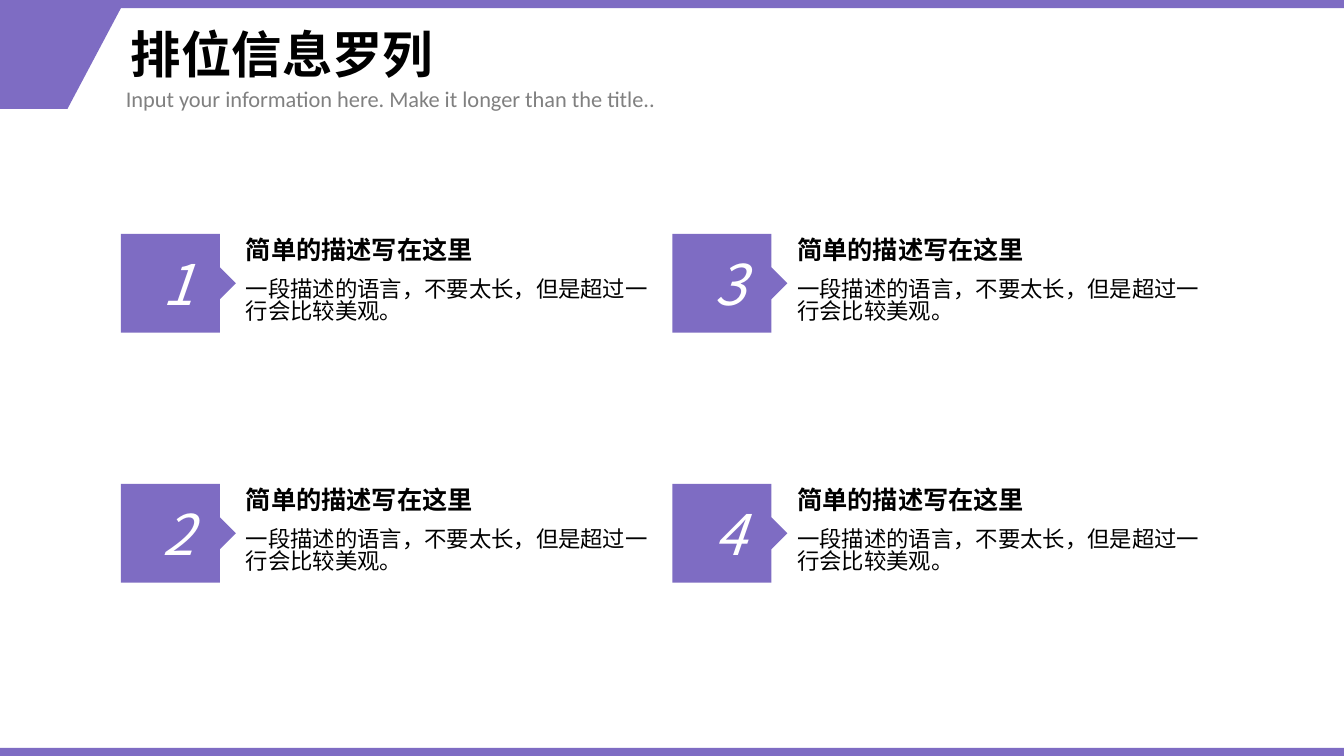
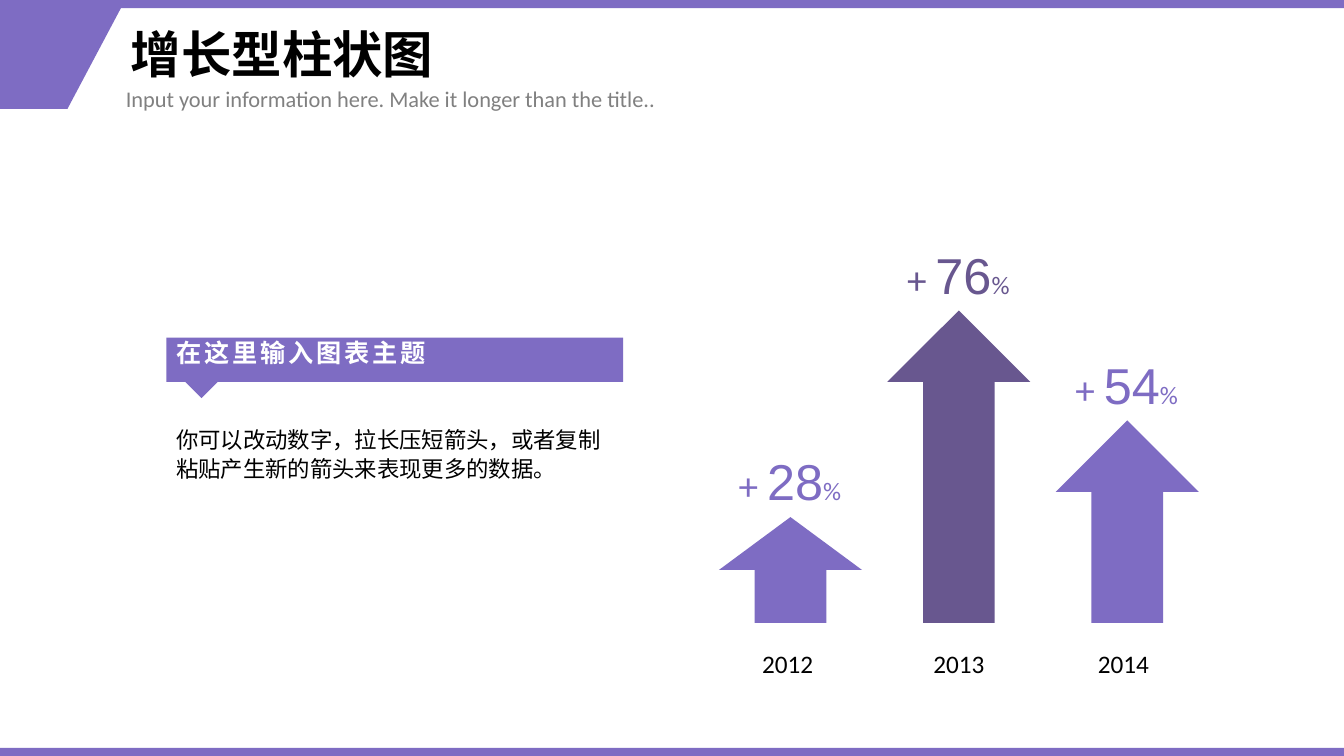
from lxml.etree import SubElement
from pptx import Presentation
from pptx.dml.color import RGBColor
from pptx.enum.shapes import MSO_SHAPE
from pptx.enum.text import MSO_ANCHOR, MSO_AUTO_SIZE, PP_ALIGN
from pptx.oxml.ns import qn
from pptx.util import Emu, Pt

SCALE = 9144
WIDE, HIGH, BAND = 1333, 750, 8
MAIN, DEEP, BLACK, GREY, WHITE = "7E6CC3", "68578F", "000000", "808080", "FFFFFF"
HAN, LATIN, DIGIT = "Noto Sans CJK SC", "Calibri", "Arial"
TIGHT = 0.84
HINT = "Input your information here. Make it longer than the title.."
HEAD = "简单的描述写在这里"
BODY = "一段描述的语言，不要太长，但是超过一行会比较美观。"
THEME = "在这里输入图表主题"
NOTE = "你可以改动数字，拉长压短箭头，或者复制粘贴产生新的箭头来表现更多的数据。"
BARS = [("2012", "28", 513, 746, MAIN),
        ("2013", "76", 308, 916, DEEP),
        ("2014", "54", 417, 1079, MAIN)]


def px(*nums):
    """Turn pixel lengths into EMU."""
    return [Emu(num * SCALE) for num in nums]


def hue(code):
    """Turn a hex string into a colour."""
    return RGBColor.from_string(code)


def paint(shape, code):
    """Give a shape a flat fill with no line or shadow."""
    shape.shadow.inherit = False
    shape.fill.solid()
    shape.fill.fore_color.rgb = hue(code)
    shape.line.fill.background()
    return shape


def block(host, kind, box, code=MAIN):
    """Add a flat preset shape."""
    return paint(host.shapes.add_shape(kind, *px(*box)), code)


def shape_of(slide, points):
    """Add a flat closed outline."""
    pen = slide.shapes.build_freeform(*points[0], scale=SCALE)
    pen.add_line_segments(points[1:], close=True)
    return paint(pen.convert_to_shape(), MAIN)


def add_run(para, text, size, code=BLACK, face=HAN, bold=False, slant=False, gap=0):
    """Add one styled run to a paragraph."""
    run = para.add_run()
    run.text = text
    font = run.font
    font.size, font.name, font.bold, font.italic = Pt(size), face, bold, slant
    font.color.rgb = hue(code)
    props = run._r.get_or_add_rPr()
    SubElement(props, qn("a:ea")).set("typeface", face)
    if gap:
        props.set("spc", str(gap * 100))


def label(slide, box, wrap=False, align=PP_ALIGN.LEFT, line=None):
    """Add a text box that grows and return its paragraph."""
    frame = slide.shapes.add_textbox(*px(*box)).text_frame
    frame.word_wrap = wrap
    frame.auto_size = MSO_AUTO_SIZE.SHAPE_TO_FIT_TEXT
    para = frame.paragraphs[0]
    para.alignment, para.line_spacing = align, line
    return para


def start(deck, title):
    """Add a slide with bands, corner, title and hint."""
    slide = deck.slides.add_slide(deck.slide_layouts[6])
    shape_of(slide, [(0, BAND), (120, BAND), (67, 108), (0, 108)])
    for top in (0, HIGH - BAND):
        block(slide, MSO_SHAPE.RECTANGLE, (0, top, WIDE, BAND))
    frame = slide.shapes.add_textbox(*px(120, 8, 1122, 100)).text_frame
    frame.word_wrap = True
    frame.vertical_anchor = MSO_ANCHOR.MIDDLE
    frame.paragraphs[0].line_spacing = TIGHT
    add_run(frame.paragraphs[0], title, 36, bold=True)
    add_run(label(slide, (115, 80, 780, 37), True), HINT, 16, GREY, LATIN)
    return slide


def card(slide, left, top, mark):
    """Add a numbered tag with its heading and text."""
    edge, tip, mid = left + 98, left + 114, top + 49
    tag = shape_of(slide, [(left, top), (edge, top), (edge, mid - 16), (tip, mid),
                           (edge, mid + 16), (edge, top + 98), (left, top + 98)])
    frame = tag.text_frame
    frame.vertical_anchor = MSO_ANCHOR.MIDDLE
    frame.paragraphs[0].alignment = PP_ALIGN.CENTER
    add_run(frame.paragraphs[0], mark, 40, WHITE, slant=True)
    add_run(label(slide, (tip, top, 247, 40), line=TIGHT), HEAD, 18, bold=True)
    add_run(label(slide, (tip, top + 40, 432, 64), True, line=TIGHT), BODY, 16)


def bar(slide, left, year, value, top, foot, code):
    """Add an arrow with its value above and year below."""
    block(slide, MSO_SHAPE.UP_ARROW, (left, top, 142, 618 - top), code)
    para = label(slide, (left + 9, top - 71, 123, 71), align=PP_ALIGN.CENTER)
    add_run(para, "+ ", 28, code, LATIN)
    add_run(para, value, 36, code, DIGIT)
    add_run(para, "%", 18, code, LATIN)
    add_run(label(slide, (foot, 638, 71, 40)), year, 18, face=LATIN)


def banner(slide):
    """Add the chart theme strip with its pointer."""
    group = slide.shapes.add_group_shape()
    strip = block(group, MSO_SHAPE.RECTANGLE, (165, 335, 453, 44))
    frame = strip.text_frame
    frame.word_wrap = False
    frame.vertical_anchor = MSO_ANCHOR.TOP
    para = frame.paragraphs[0]
    para.alignment, para.line_spacing = PP_ALIGN.LEFT, TIGHT
    add_run(para, THEME, 18, WHITE, bold=True, gap=2)
    block(group, MSO_SHAPE.RIGHT_TRIANGLE, (188, 366, 24, 24)).rotation = 315


def main():
    """Build and save both slides."""
    deck = Presentation()
    deck.slide_width, deck.slide_height = px(WIDE, HIGH)
    slide = start(deck, "排位信息罗列")
    for i in range(4):
        col, row = divmod(i, 2)
        card(slide, 120 + 547 * col, 232 + 248 * row, str(i + 1))
    slide = start(deck, "增长型柱状图")
    for i, data in enumerate(BARS):
        bar(slide, 713 + 167 * i, *data)
    add_run(label(slide, (165, 417, 453, 77), True, line=1.05), NOTE, 16)
    banner(slide)
    deck.save("out.pptx")


if __name__ == "__main__":
    main()
